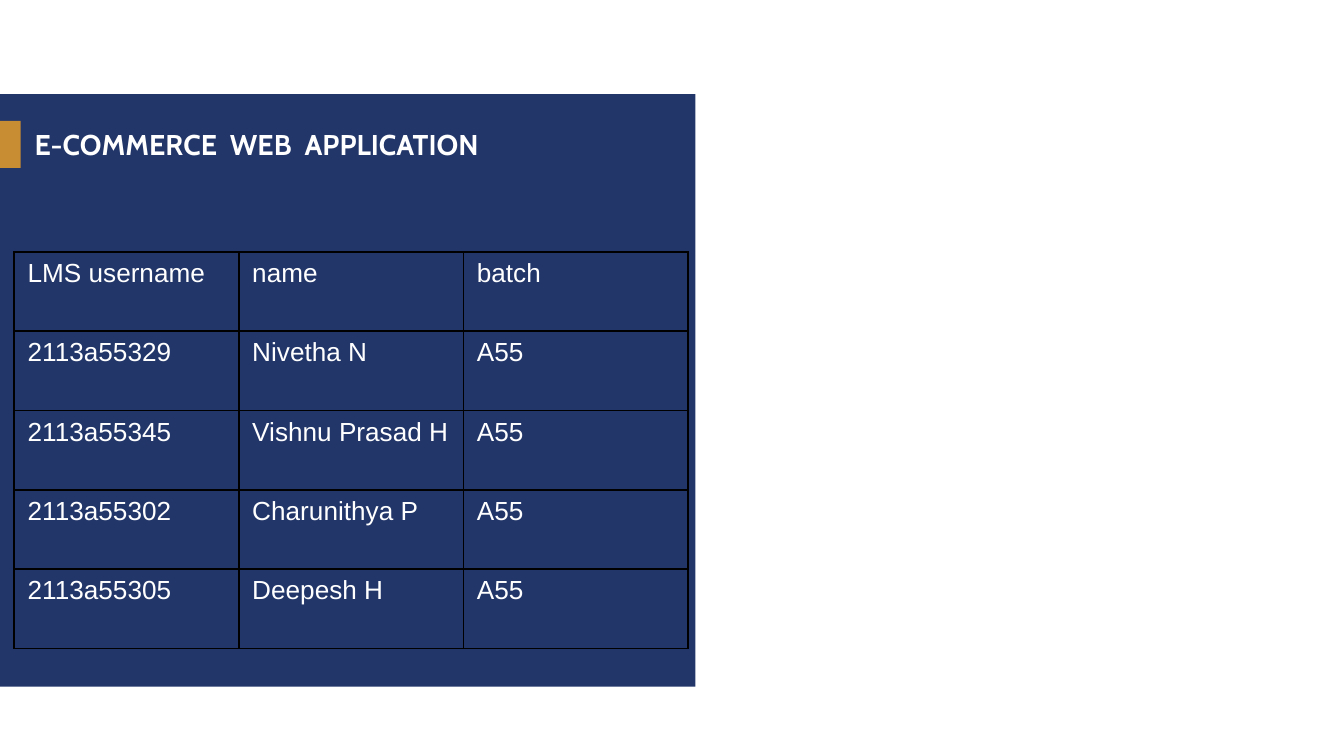
from dataclasses import dataclass

from lxml.etree import SubElement
from pptx import Presentation
from pptx.dml.color import RGBColor
from pptx.enum.shapes import MSO_SHAPE
from pptx.enum.text import MSO_ANCHOR
from pptx.oxml.ns import qn
from pptx.util import Inches, Pt


@dataclass(frozen=True)
class Theme:
    navy: str = "223669"
    gold: str = "C88C32"
    white: str = "FFFFFF"
    black: str = "000000"
    title_font: str = "Cabin"
    body_font: str = "Arial"
    title_size: float = 15.3
    body_size: float = 14
    border: float = 1


class SlideBuilder:
    COLUMNS, ROWS = 100, 56.25

    def __init__(self, prs, theme):
        self.theme = theme
        self.column = prs.slide_width / self.COLUMNS
        self.row = prs.slide_height / self.ROWS
        self.s = prs.slides.add_slide(prs.slide_layouts[6])

    def box(self, left, top, width, height):
        return (round(left * self.column), round(top * self.row),
                round(width * self.column), round(height * self.row))

    def style(self, p, font, size, bold=False):
        for r in p.runs:
            r.font.name = font
            r.font.size = Pt(size)
            r.font.bold = bold
            r.font.color.rgb = RGBColor.from_string(self.theme.white)

    def panel(self, area, color):
        sp = self.s.shapes.add_shape(MSO_SHAPE.RECTANGLE, *self.box(*area))
        sp.shadow.inherit = False
        sp.fill.solid()
        sp.fill.fore_color.rgb = RGBColor.from_string(color)
        sp.line.fill.background()

    def title(self, area, text):
        tf = self.s.shapes.add_textbox(*self.box(*area)).text_frame
        tf.word_wrap = True
        tf.vertical_anchor = MSO_ANCHOR.MIDDLE
        tf.text = text
        self.style(tf.paragraphs[0], self.theme.title_font, self.theme.title_size, True)

    def borders(self, cell):
        properties = cell._tc.get_or_add_tcPr()
        for side in ("a:lnL", "a:lnR", "a:lnT", "a:lnB"):
            line = SubElement(properties, qn(side), w=str(Pt(self.theme.border)))
            fill = SubElement(line, qn("a:solidFill"))
            SubElement(fill, qn("a:srgbClr"), val=self.theme.black)

    def table(self, area, records):
        frame = self.s.shapes.add_table(len(records), len(records[0]), *self.box(*area))
        table = frame.table
        table.first_row = table.horz_banding = False
        for row, record in zip(table.rows, records):
            for cell, text in zip(row.cells, record):
                cell.text_frame.text = text
                self.style(cell.text_frame.paragraphs[0],
                           self.theme.body_font, self.theme.body_size)
                self.borders(cell)
                cell.fill.background()


def main():
    prs = Presentation()
    prs.slide_width = Inches(10)
    prs.slide_height = prs.slide_width * 9 // 16
    theme = Theme()
    slide = SlideBuilder(prs, theme)
    slide.panel((0, 7, 51.75, 44.1), theme.navy)
    slide.panel((0, 9, 1.55, 3.5), theme.gold)
    slide.title((1.6, 8.85, 37.4, 3.8), "E-COMMERCE  WEB  APPLICATION")
    students = [
        ("2113a55329", "Nivetha N"),
        ("2113a55345", "Vishnu Prasad H"),
        ("2113a55302", "Charunithya P"),
        ("2113a55305", "Deepesh H"),
    ]
    records = [("LMS username", "name", "batch")]
    records += [(username, name, "A55") for username, name in students]
    slide.table((1.05, 18.75, 50.15, 29.5), records)
    prs.save("out.pptx")


if __name__ == "__main__":
    main()
